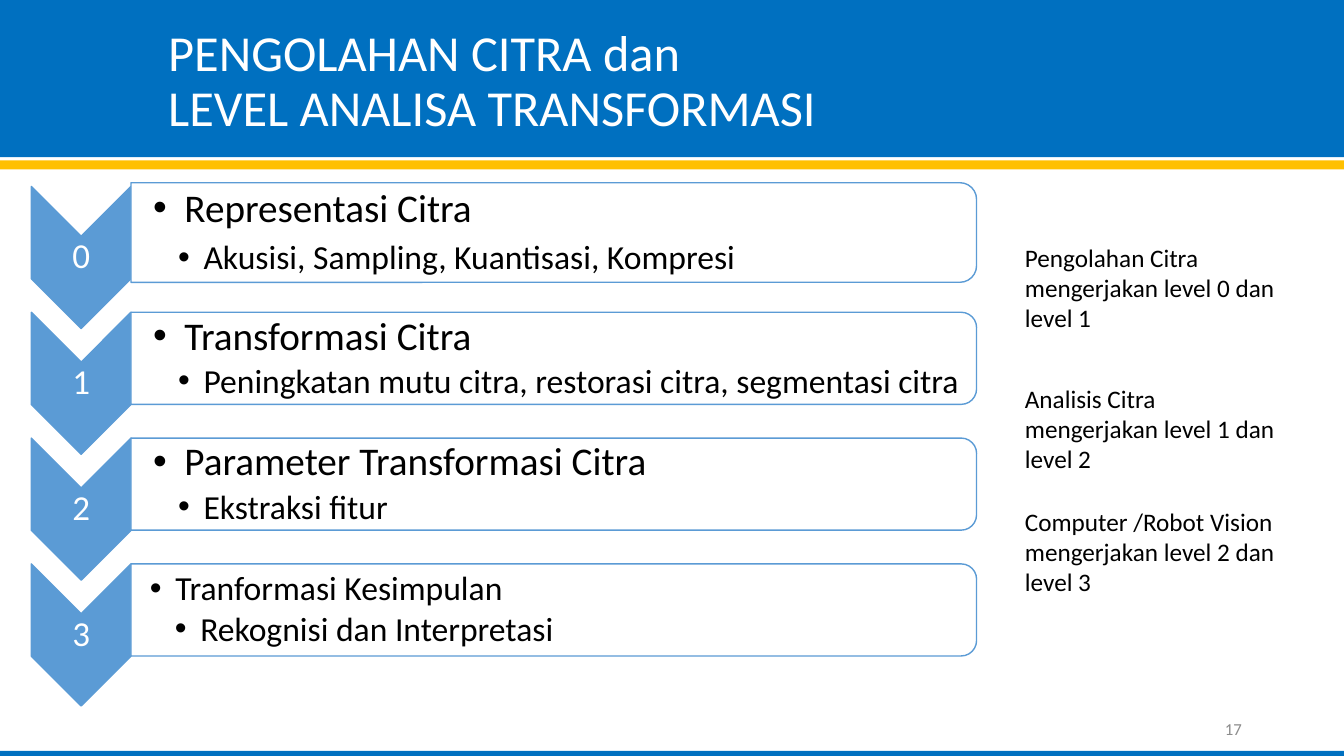
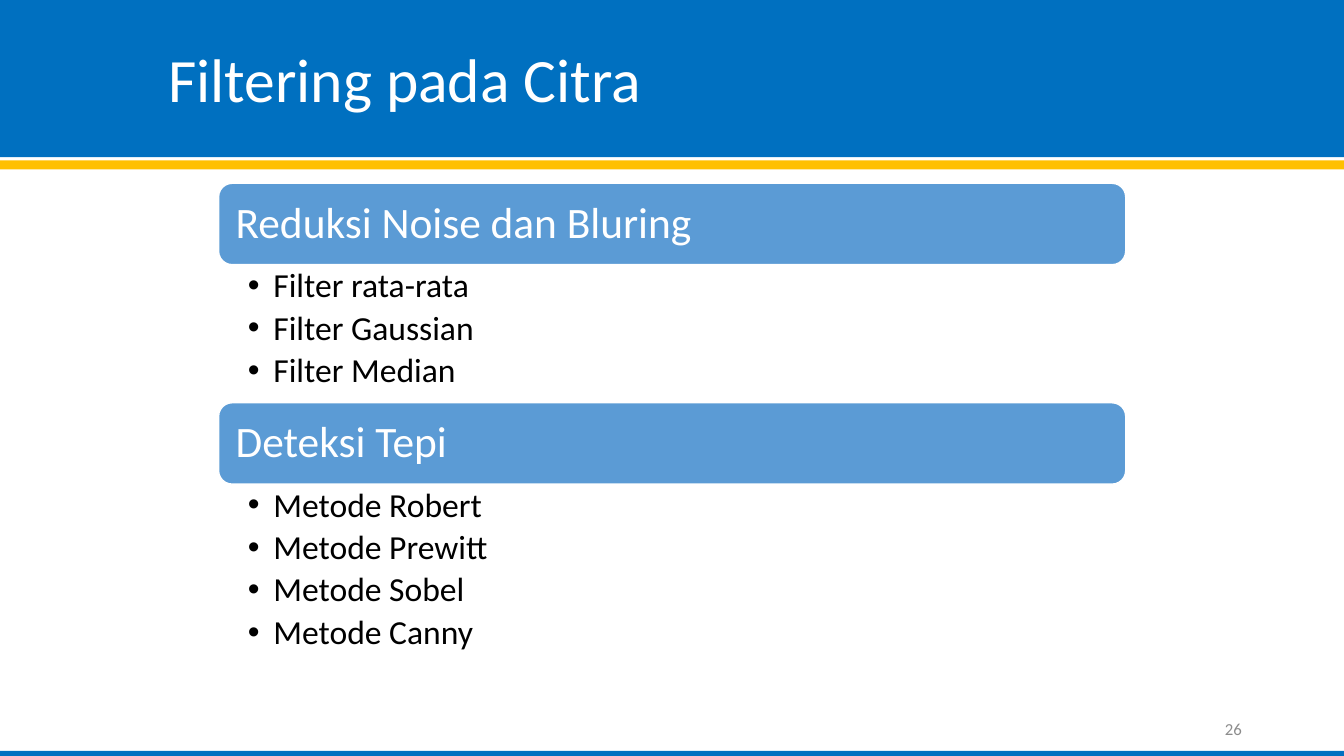
from dataclasses import dataclass

from lxml.etree import SubElement
from pptx import Presentation
from pptx.dml.color import RGBColor
from pptx.enum.shapes import MSO_SHAPE
from pptx.enum.text import MSO_ANCHOR, PP_ALIGN
from pptx.oxml.ns import qn
from pptx.util import Cm, Pt


@dataclass(frozen=True)
class Theme:
    font: str = "Calibri"
    band: RGBColor = RGBColor(0x00, 0x70, 0xC0)
    stripe: RGBColor = RGBColor(0xFF, 0xC0, 0x00)
    accent: RGBColor = RGBColor(0x5B, 0x9B, 0xD5)
    light: RGBColor = RGBColor(0xFF, 0xFF, 0xFF)
    dark: RGBColor = RGBColor(0x00, 0x00, 0x00)
    muted: RGBColor = RGBColor(0x8C, 0x8C, 0x8C)
    heading: int = 31
    lead: int = 28
    number: int = 25
    body: int = 24
    note: int = 18
    page: int = 12
    tight: float = 0.9


THEME = Theme()
SLIDE_W, SLIDE_H = 33.87, 19.05

LEVELS = {
    "title": ["PENGOLAHAN CITRA dan", "LEVEL ANALISA TRANSFORMASI"],
    "title_size": 36,
    "page": "17",
    # lead, detail, lead size, panel height, detail line spacing
    "rows": [
        ("Representasi Citra", "Akusisi, Sampling, Kuantisasi, Kompresi",
         THEME.lead, 2.51, 1.0),
        ("Transformasi Citra",
         "Peningkatan mutu citra, restorasi citra, segmentasi citra",
         THEME.lead, 2.32, THEME.tight),
        ("Parameter Transformasi Citra", "Ekstraksi fitur",
         THEME.lead, 2.32, THEME.tight),
        ("Tranformasi Kesimpulan", "Rekognisi dan Interpretasi",
         THEME.body, 2.32, THEME.tight),
    ],
    "notes": [
        (5.97, "Pengolahan Citra mengerjakan level 0 dan level 1"),
        (9.53, "Analisis Citra mengerjakan level 1 dan level 2"),
        (12.62, "Computer /Robot Vision mengerjakan level 2 dan level 3"),
    ],
}

FILTERING = {
    "title": ["Filtering pada Citra"],
    "title_size": 44,
    "page": "26",
    "groups": [
        ("Reduksi Noise dan Bluring",
         ["Filter rata-rata", "Filter Gaussian", "Filter Median"]),
        ("Deteksi Tepi",
         ["Metode Robert", "Metode Prewitt", "Metode Sobel", "Metode Canny"]),
    ],
}


def add_block(slide, kind, left, top, width, height, fill, line=None):
    block = slide.shapes.add_shape(kind, Cm(left), Cm(top), Cm(width), Cm(height))
    block.shadow.inherit = False
    block.fill.solid()
    block.fill.fore_color.rgb = fill
    if line is None:
        block.line.fill.background()
    else:
        block.line.color.rgb = line
        block.line.width = Pt(1)
    return block


def add_turned(slide, kind, left, center_y, width, height, fill):
    """Add a shape rotated by 90 degrees that covers the given upright area."""
    block = add_block(slide, kind, left + (width - height) / 2,
                      center_y - width / 2, height, width, fill, THEME.accent)
    block.rotation = 90


def set_frame(frame, insets, anchor):
    frame.word_wrap = True
    frame.vertical_anchor = anchor
    (frame.margin_left, frame.margin_top,
     frame.margin_right, frame.margin_bottom) = [Cm(inset) for inset in insets]
    return frame


def add_frame(slide, left, top, width, height,
              insets=(0.25, 0.13, 0.25, 0.13), anchor=MSO_ANCHOR.MIDDLE):
    box = slide.shapes.add_textbox(Cm(left), Cm(top), Cm(width), Cm(height))
    return set_frame(box.text_frame, insets, anchor)


def write(frame, lines, size, color, align=PP_ALIGN.LEFT, spacing=1.0,
          after=0, bullet=None):
    """Write one paragraph; bullet is (text indent, hanging width) in cm."""
    paragraph = frame.paragraphs[0]
    if paragraph.runs:
        paragraph = frame.add_paragraph()
    if bullet:
        indent, hanging = bullet
        properties = paragraph._p.get_or_add_pPr()
        properties.set("marL", str(Cm(indent)))
        properties.set("indent", str(-Cm(hanging)))
        SubElement(properties, qn("a:buFont")).set("typeface", "Arial")
        SubElement(properties, qn("a:buChar")).set("char", "•")
    paragraph.alignment = align
    paragraph.line_spacing = spacing
    paragraph.space_after = Pt(after)
    for index, line in enumerate(lines):
        if index:
            paragraph.add_line_break()
        run = paragraph.add_run()
        run.text = line
        run.font.name = THEME.font
        run.font.size = Pt(size)
        run.font.color.rgb = color


def start_slide(deck, content):
    """Add a slide with the shared bands, title and page number."""
    slide = deck.slides.add_slide(deck.slide_layouts[6])
    for top, height, color in [(0, 3.96, THEME.band), (4.04, 0.23, THEME.stripe),
                               (18.92, 0.13, THEME.band)]:
        add_block(slide, MSO_SHAPE.RECTANGLE, 0, top, SLIDE_W, height, color)
    write(add_frame(slide, 3.99, 0.46, 28.63, 3.25), content["title"],
          content["title_size"], THEME.light, spacing=THEME.tight)
    write(add_frame(slide, 23.93, 17.86, 7.62, 1.02), [content["page"]],
          THEME.page, THEME.muted, PP_ALIGN.RIGHT)
    return slide


def build_levels(deck):
    slide = start_slide(deck, LEVELS)
    chevron_left, chevron_w, chevron_h = 0.79, 2.51, 3.58
    panel_left, panel_w = chevron_left + chevron_w, 21.31
    first_center, pitch, chevron_drop, number_h = 5.86, 3.17, 0.63, 1.07
    thin = 0.05

    for level, (lead, detail, size, panel_h, spacing) in enumerate(LEVELS["rows"]):
        center = first_center + level * pitch
        chevron_center = center + chevron_drop
        add_turned(slide, MSO_SHAPE.CHEVRON, chevron_left, chevron_center,
                   chevron_w, chevron_h, THEME.accent)
        number = add_frame(slide, chevron_left, chevron_center - number_h / 2,
                           chevron_w, number_h, [thin] * 4)
        write(number, [str(level)], THEME.number, THEME.light,
              PP_ALIGN.CENTER, THEME.tight)

        add_turned(slide, MSO_SHAPE.ROUND_2_SAME_RECTANGLE, panel_left, center,
                   panel_w, panel_h, THEME.light)
        large = size == THEME.lead
        panel = add_frame(slide, panel_left, center - panel_h / 2, panel_w, panel_h,
                          (0.56 if large else 0.48, thin, thin, thin))
        lead_indent = 0.79 if large else 0.64
        write(panel, [lead], size, THEME.dark, spacing=THEME.tight,
              after=4 if large else 3, bullet=(lead_indent, lead_indent))
        write(panel, [detail], THEME.body, THEME.dark, spacing=spacing,
              after=3, bullet=(1.27, 0.64))

    for top, note in LEVELS["notes"]:
        write(add_frame(slide, 25.58, top, 7.04, 2.57, anchor=MSO_ANCHOR.TOP),
              [note], THEME.note, THEME.dark)


def build_filtering(deck):
    slide = start_slide(deck, FILTERING)
    left, top, width = 5.51, 4.62, 22.86
    heading_h, item_h = 2.05, 1.16

    for heading, items in FILTERING["groups"]:
        bar = add_block(slide, MSO_SHAPE.ROUNDED_RECTANGLE, left, top, width,
                        heading_h, THEME.accent, THEME.light)
        write(set_frame(bar.text_frame, [0.33] * 4, MSO_ANCHOR.MIDDLE), [heading],
              THEME.heading, THEME.light, spacing=THEME.tight)
        top += heading_h
        items_h = item_h * len(items)
        methods = add_frame(slide, left, top, width, items_h,
                            (0.74, 0.1, 0.61, 0.1), MSO_ANCHOR.TOP)
        for item in items:
            write(methods, [item], THEME.body, THEME.dark, spacing=THEME.tight,
                  after=4.4, bullet=(0.64, 0.64))
        top += items_h


def main():
    deck = Presentation()
    deck.slide_width, deck.slide_height = Cm(SLIDE_W), Cm(SLIDE_H)
    build_levels(deck)
    build_filtering(deck)
    deck.save("out.pptx")


if __name__ == "__main__":
    main()
